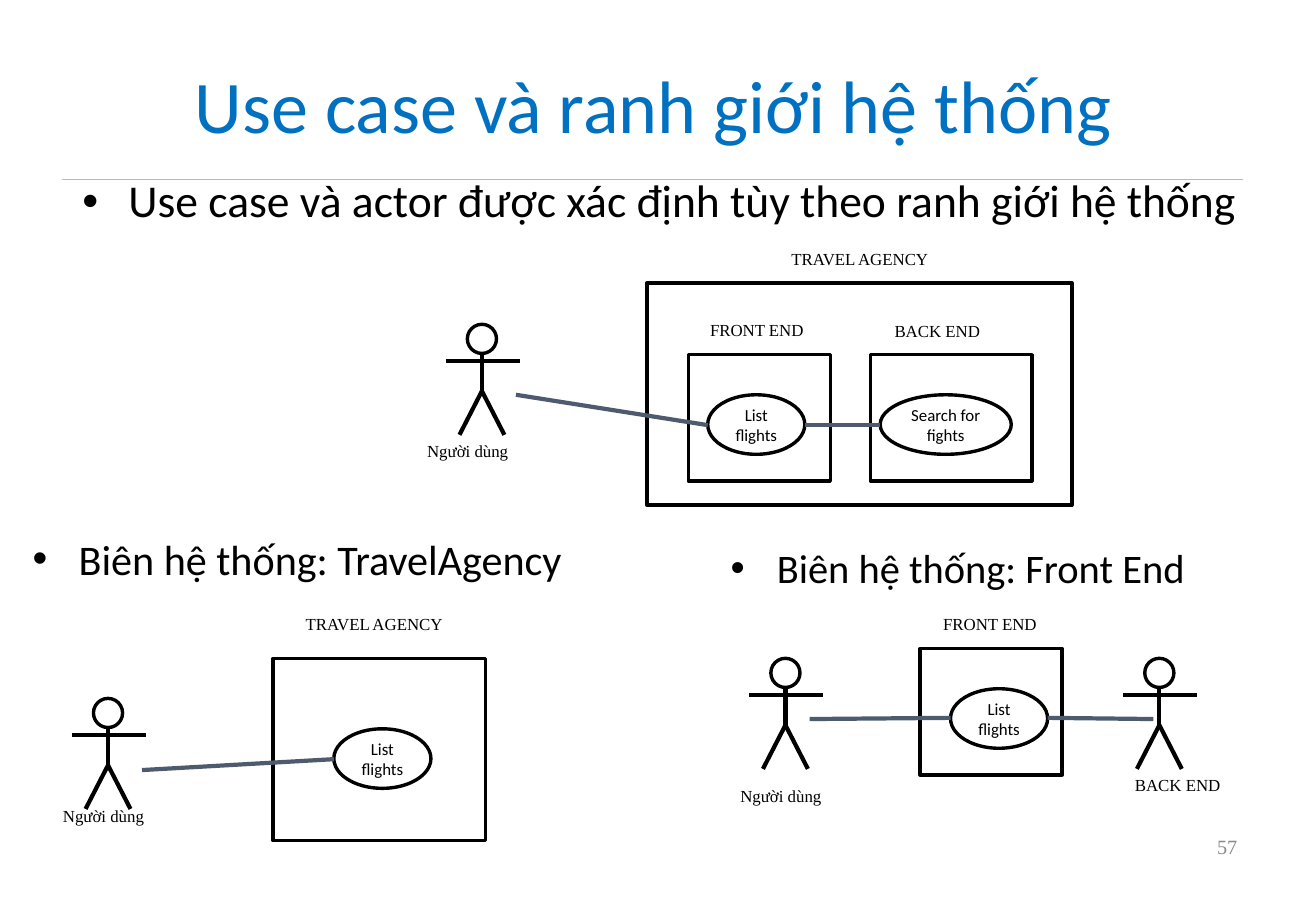
from dataclasses import dataclass

from lxml.etree import SubElement
from pptx import Presentation
from pptx.dml.color import RGBColor
from pptx.enum.shapes import MSO_CONNECTOR as Connector, MSO_SHAPE as Shape
from pptx.enum.text import MSO_ANCHOR as Anchor, PP_ALIGN as Align
from pptx.oxml.ns import qn
from pptx.util import Inches, Pt


@dataclass(frozen=True)
class Theme:
    title: RGBColor = RGBColor(0x00, 0x70, 0xC0)
    ink: RGBColor = RGBColor(0x00, 0x00, 0x00)
    paper: RGBColor = RGBColor(0xFF, 0xFF, 0xFF)
    rule: RGBColor = RGBColor(0xFE, 0xB8, 0x0A)
    association: RGBColor = RGBColor(0x4E, 0x5B, 0x6F)
    page_number: RGBColor = RGBColor(0x89, 0x89, 0x89)
    sans: str = "Calibri"
    serif: str = "Times New Roman"
    title_size: int = 44
    lead_size: int = 27
    left_size: int = 25
    right_size: int = 24
    page_size: int = 12
    label_size: int = 10
    outline_width: float = 2
    line_width: float = 2.5
    rule_width: float = 0.75


THEME = Theme()
USE_CASE_HEIGHT = 0.49
USER = "Người dùng"


def style_text(paragraph, text, size, font_name, color, align=Align.LEFT):
    paragraph.text = text
    paragraph.alignment = align
    paragraph.font.size = Pt(size)
    paragraph.font.name = font_name
    paragraph.font.color.rgb = color


def add_text(slide, box, text, size, font_name=THEME.sans, color=THEME.ink,
             align=Align.LEFT, anchor=Anchor.TOP):
    shape = slide.shapes.add_textbox(*map(Inches, box))
    frame = shape.text_frame
    frame.word_wrap = True
    frame.vertical_anchor = anchor
    style_text(frame.paragraphs[0], text, size, font_name, color, align)
    return frame.paragraphs[0]


def add_bullet(slide, box, text, size, line_spacing=1.0):
    paragraph = add_text(slide, box, text, size)
    properties = paragraph._p.get_or_add_pPr()
    properties.set("marL", str(Inches(0.38)))
    properties.set("indent", str(Inches(-0.38)))
    SubElement(properties, qn("a:buFont")).set("typeface", "Arial")
    SubElement(properties, qn("a:buChar")).set("char", "•")
    paragraph.font.size = Pt(size)
    paragraph.line_spacing = line_spacing


def add_label(slide, left, top, text, width=0.98):
    add_text(slide, (left, top, width, 0.27), text, THEME.label_size, THEME.serif)


def add_line(shapes, start, end, color=THEME.ink, width=THEME.line_width):
    connector = shapes.add_connector(
        Connector.STRAIGHT, *map(Inches, (*start, *end)))
    connector.line.color.rgb = color
    connector.line.width = Pt(width)
    SubElement(connector._element.spPr, qn("a:effectLst"))


def add_association(slide, start, end):
    add_line(slide.shapes, start, end, THEME.association)


def add_outline(shapes, kind, box):
    shape = shapes.add_shape(kind, *map(Inches, box))
    shape.shadow.inherit = False
    shape.fill.background()
    shape.line.color.rgb = THEME.ink
    shape.line.width = Pt(THEME.outline_width)
    return shape


def add_boundary(slide, *box):
    add_outline(slide.shapes, Shape.RECTANGLE, box)


def add_use_case(slide, left, top, text, width=0.8):
    shape = add_outline(slide.shapes, Shape.OVAL, (left, top, width, USE_CASE_HEIGHT))
    shape.fill.solid()
    shape.fill.fore_color.rgb = THEME.paper
    frame = shape.text_frame
    frame.word_wrap = True
    frame.margin_left = frame.margin_right = Inches(0.09)
    frame.vertical_anchor = Anchor.MIDDLE
    style_text(frame.paragraphs[0], text, THEME.label_size, THEME.sans,
               THEME.ink, Align.CENTER)


def add_actor(slide, center, top):
    shapes = slide.shapes.add_group_shape().shapes
    neck, arms, hips, feet = (top + drop for drop in (0.24, 0.3, 0.55, 0.91))
    add_outline(shapes, Shape.OVAL, (center - 0.12, top, 0.24, 0.24))
    add_line(shapes, (center, neck), (center, hips))
    add_line(shapes, (center - 0.3, arms), (center + 0.31, arms))
    for side in (-1, 1):
        add_line(shapes, (center, hips), (center + side * 0.185, feet))


def add_heading(slide):
    add_line(slide.shapes, (0.51, 1.48), (10.24, 1.48), THEME.rule, THEME.rule_width)
    add_text(slide, (0.51, 0.23, 9.75, 1.25), "Use case và ranh giới hệ thống",
             THEME.title_size, color=THEME.title, align=Align.CENTER,
             anchor=Anchor.MIDDLE)
    add_bullet(slide, (0.58, 1.42, 9.75, 0.83),
               "Use case và actor được xác định tùy theo ranh giới hệ thống",
               THEME.lead_size, 0.9)
    add_text(slide, (7.76, 6.77, 2.53, 0.4), "57", THEME.page_size, THEME.serif,
             THEME.page_number, Align.RIGHT, Anchor.MIDDLE)


def add_whole_system(slide):
    add_actor(slide, 3.97, 2.67)
    add_label(slide, 3.42, 3.58, USER)
    add_boundary(slide, 5.33, 2.33, 3.5, 1.83)
    add_boundary(slide, 5.67, 2.92, 1.17, 1.04)
    add_boundary(slide, 7.17, 2.92, 1.33, 1.04)
    add_label(slide, 6.42, 2, "TRAVEL AGENCY", 1.41)
    add_label(slide, 5.75, 2.58, "FRONT END")
    add_label(slide, 7.27, 2.59, "BACK END")
    add_use_case(slide, 5.83, 3.25, "List flights")
    add_use_case(slide, 7.25, 3.25, "Search for fights", 1.08)
    add_association(slide, (4.25, 3.25), (5.83, 3.5))
    add_association(slide, (6.63, 3.5), (7.25, 3.5))


def add_travel_agency_view(slide):
    add_bullet(slide, (0.17, 4.42, 4.58, 0.67), "Biên hệ thống: TravelAgency",
               THEME.left_size, 0.8)
    add_actor(slide, 0.89, 5.75)
    add_label(slide, 0.42, 6.58, USER)
    add_boundary(slide, 2.25, 5.42, 1.75, 1.5)
    add_label(slide, 2.42, 5, "TRAVEL AGENCY", 1.41)
    add_use_case(slide, 2.75, 6, "List flights")
    add_association(slide, (1.17, 6.34), (2.75, 6.25))


def add_front_end_view(slide):
    add_bullet(slide, (5.92, 4.42, 4.58, 0.67), "Biên hệ thống: Front End",
               THEME.right_size)
    add_actor(slide, 6.47, 5.42)
    add_label(slide, 6, 6.42, USER)
    add_boundary(slide, 7.58, 5.34, 1.17, 1.04)
    add_label(slide, 7.67, 5, "FRONT END")
    add_use_case(slide, 7.83, 5.67, "List flights")
    add_association(slide, (6.67, 5.92), (7.83, 5.91))
    add_association(slide, (9.5, 5.92), (8.63, 5.91))
    add_actor(slide, 9.55, 5.42)
    add_label(slide, 9.25, 6.33, "BACK END")


def main():
    presentation = Presentation()
    presentation.slide_width = Inches(10.84)
    presentation.slide_height = Inches(7.5)
    slide = presentation.slides.add_slide(presentation.slide_layouts[6])
    add_heading(slide)
    add_whole_system(slide)
    add_travel_agency_view(slide)
    add_front_end_view(slide)
    presentation.save("out.pptx")


if __name__ == "__main__":
    main()
